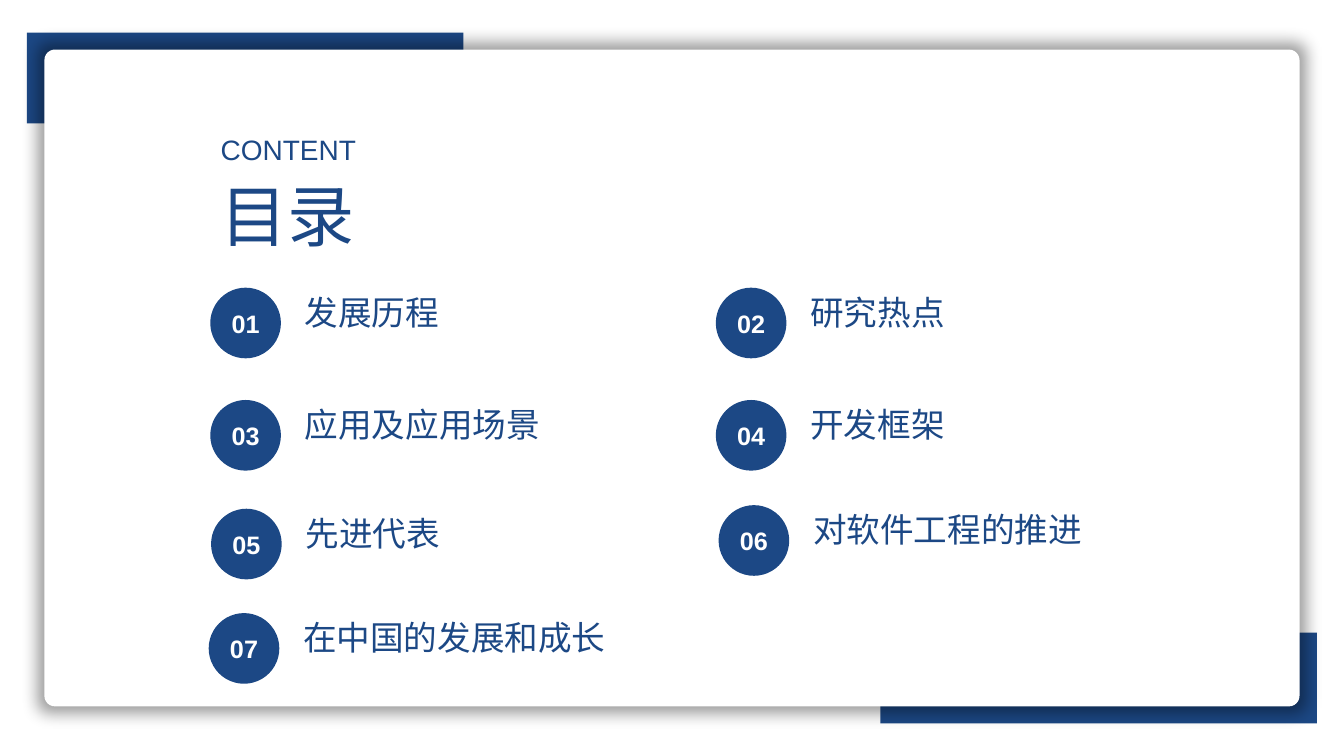
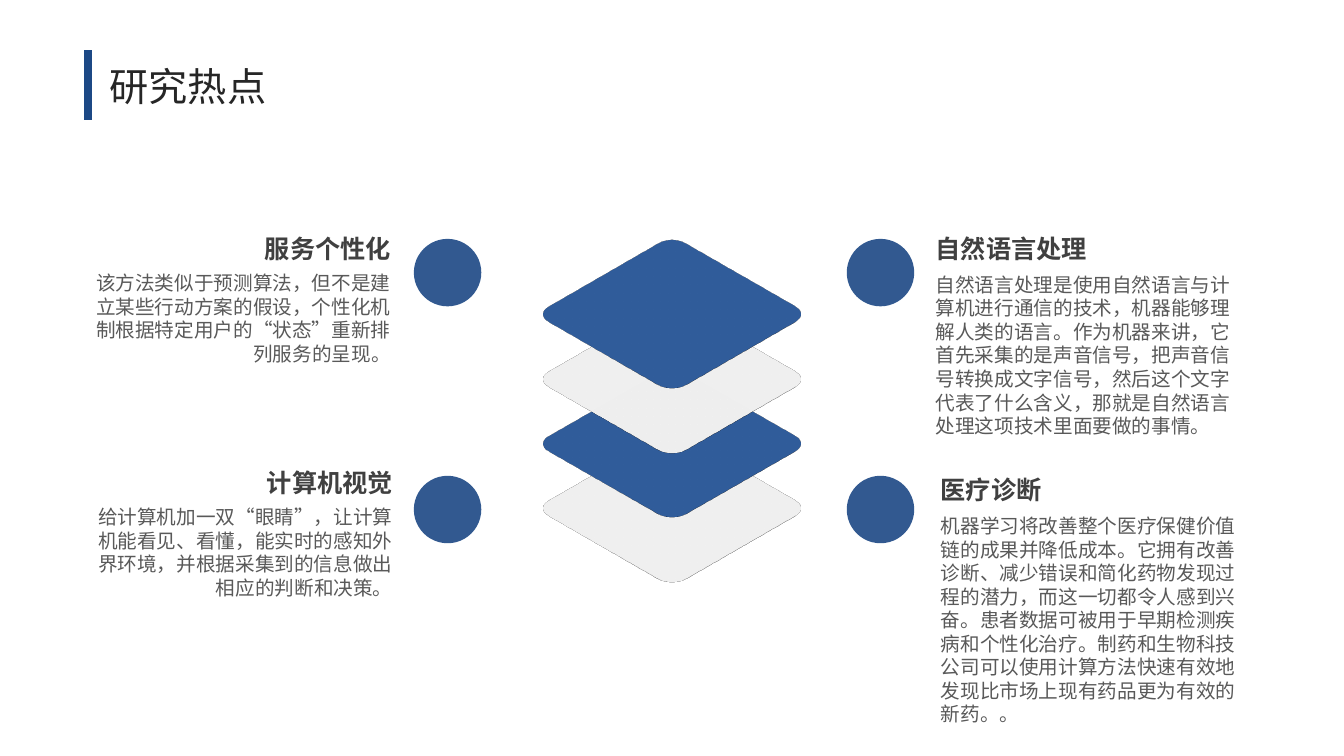
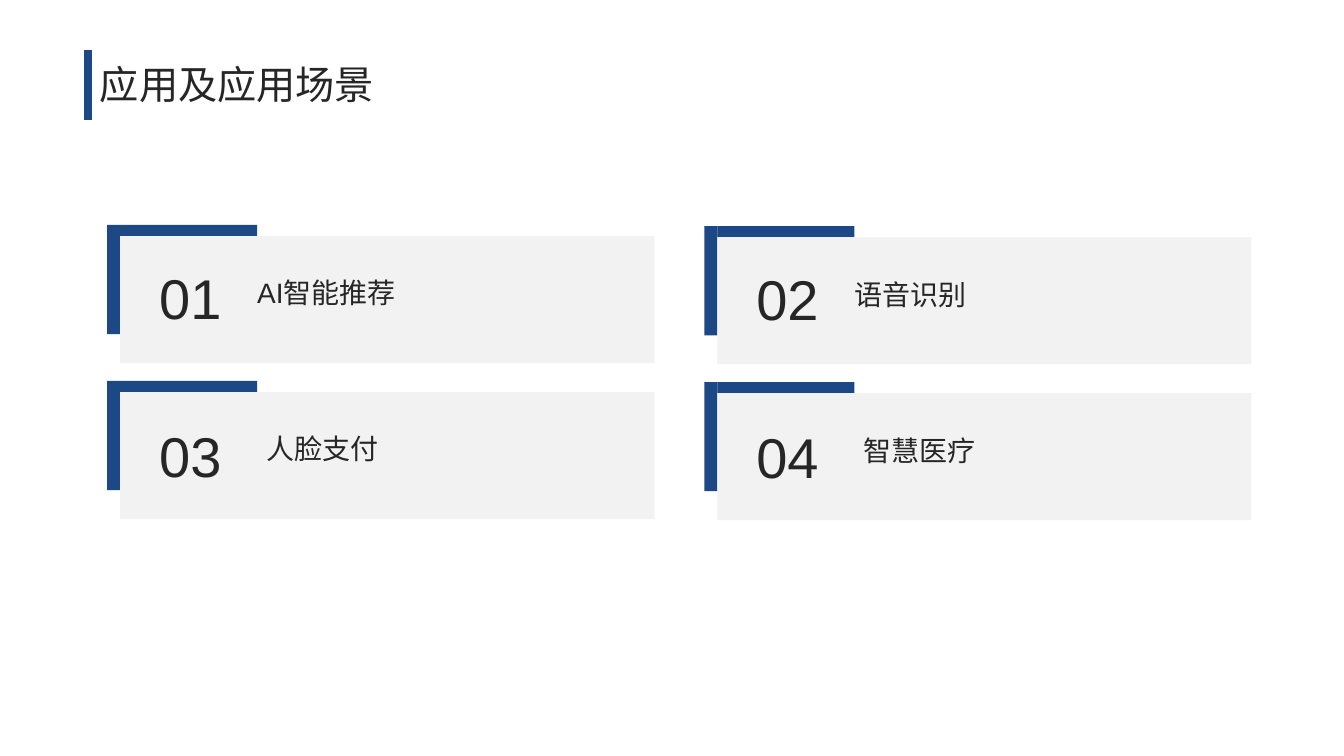
from lxml.etree import SubElement
from pptx import Presentation
from pptx.dml.color import RGBColor
from pptx.enum.shapes import MSO_CONNECTOR, MSO_SHAPE
from pptx.enum.text import MSO_ANCHOR, MSO_AUTO_SIZE, PP_ALIGN
from pptx.oxml.ns import qn
from pptx.util import Cm, Pt

BLUE, WHITE, PANEL, LAYER = "1C4885", "FFFFFF", "F2F2F2", "D9D9D9"
INK, HEADING, BODY = "262626", "404040", "595959"
LEFT, RIGHT, CENTER, JUSTIFY = PP_ALIGN.LEFT, PP_ALIGN.RIGHT, PP_ALIGN.CENTER, PP_ALIGN.JUSTIFY


def paint(shape, color):
    shape.shadow.inherit = False
    shape.fill.solid()
    shape.fill.fore_color.rgb = RGBColor.from_string(color)
    shape.line.fill.background()
    return shape


def write(shape, text, size, color, align, bold=False, anchor=MSO_ANCHOR.TOP):
    frame = shape.text_frame
    frame.word_wrap = True
    frame.auto_size = MSO_AUTO_SIZE.NONE
    frame.vertical_anchor = anchor
    frame.text = text
    paragraph = frame.paragraphs[0]
    paragraph.alignment = align
    paragraph.font.name = "Arial"
    paragraph.font.size = Pt(size)
    paragraph.font.bold = bold
    paragraph.font.color.rgb = RGBColor.from_string(color)


presentation = Presentation()
presentation.slide_width, presentation.slide_height = Cm(33.87), Cm(19.05)

titles = [
    ("目录", 5.31, 4.27, 6.45, 2.31, 48, BLUE, JUSTIFY),
    ("研究热点", 2.51, 1.45, 7.06, 1.45, 28, INK, LEFT),
    ("应用及应用场景", 2.02, 1.4, 7.9, 1.45, 28, INK, CENTER),
]
slides = []
for text, left, top, width, height, size, color, align in titles:
    slide = presentation.slides.add_slide(presentation.slide_layouts[5])
    title = slide.shapes.title
    title.left, title.top, title.width, title.height = Cm(left), Cm(top), Cm(width), Cm(height)
    write(title, text, size, color, align)
    slides.append(slide)
contents, hotspots, scenarios = slides

for slide in (hotspots, scenarios):
    bar = slide.shapes.add_connector(MSO_CONNECTOR.STRAIGHT, Cm(2.22), Cm(1.27), Cm(2.22), Cm(3.02))
    bar.line.color.rgb = RGBColor.from_string(BLUE)
    bar.line.width = Pt(6)
    SubElement(bar._element.spPr, qn("a:effectLst"))

shapes = contents.shapes
for left, top in ((22.19, 15.94), (0.68, 0.82)):
    paint(shapes.add_shape(MSO_SHAPE.RECTANGLE, Cm(left), Cm(top), Cm(11), Cm(2.29)), BLUE)
card = paint(shapes.add_shape(MSO_SHAPE.ROUNDED_RECTANGLE, Cm(1.12), Cm(1.25), Cm(31.63), Cm(16.55)), WHITE)
card.adjustments[0] = 0.016
effects = card._element.spPr.find(qn("a:effectLst"))
shadow = SubElement(effects, qn("a:outerShdw"), blurRad=str(Cm(0.4)), dist="0",
                    sx="101000", sy="102000", algn="ctr", rotWithShape="0")
shadow_color = SubElement(shadow, qn("a:srgbClr"), val="000000")
SubElement(shadow_color, qn("a:alpha"), val="40000")
shapes._spTree.append(shapes.title._element)
subtitle = shapes.add_textbox(Cm(5.31), Cm(3.21), Cm(6.45), Cm(1.12))
write(subtitle, "CONTENT", 20, BLUE, JUSTIFY)

chapters = [
    ("发展历程", 5.3, 7.25),
    ("研究热点", 18.04, 7.25),
    ("应用及应用场景", 5.3, 10.08),
    ("开发框架", 18.04, 10.08),
    ("先进代表", 5.32, 12.82),
    ("对软件工程的推进", 18.11, 12.73),
    ("在中国的发展和成长", 5.26, 15.45),
]
for number, (text, left, top) in enumerate(chapters, 1):
    badge = paint(shapes.add_shape(MSO_SHAPE.OVAL, Cm(left), Cm(top), Cm(1.78), Cm(1.78)), BLUE)
    write(badge, f"{number:02}", 18, WHITE, CENTER, True, MSO_ANCHOR.MIDDLE)
    chapter = shapes.add_textbox(Cm(left + 2.13), Cm(top - 0.02), Cm(10.29), Cm(1.27))
    write(chapter, text, 24, BLUE, JUSTIFY)

shapes = hotspots.shapes
for level, color in enumerate((LAYER, BLUE, LAYER, BLUE)):
    tile = shapes.add_shape(MSO_SHAPE.ROUNDED_RECTANGLE, Cm(14.5), Cm(10.37 - level * 1.63), Cm(4.87), Cm(4.87))
    tile.adjustments[0] = 0.1
    paint(tile, color)
    scene = SubElement(tile._element.spPr, qn("a:scene3d"))
    SubElement(scene, qn("a:camera"), prst="isometricTopUp")
    SubElement(scene, qn("a:lightRig"), rig="threePt", dir="t")

for left in (10.43, 21.34):
    for top in (6.02, 11.99):
        dot = paint(shapes.add_shape(MSO_SHAPE.OVAL, Cm(left), Cm(top), Cm(1.7), Cm(1.7)), BLUE)
        dot_color = dot._element.spPr.find(qn("a:solidFill"))[0]
        SubElement(dot_color, qn("a:alpha"), val="90000")

topics = [
    ("服务个性化", 2.15, 5.76, 0.95, 2.64, RIGHT,
     "该方法类似于预测算法，但不是建立某些行动方案的假设，个性化机制根据特定用户的“状态”重新排列服务的呈现。"),
    ("计算机视觉", 2.2, 11.66, 0.94, 2.64, RIGHT,
     "给计算机加一双“眼睛”，让计算机能看见、看懂，能实时的感知外界环境，并根据采集到的信息做出相应的判断和决策。"),
    ("自然语言处理", 23.33, 5.76, 0.99, 4.45, LEFT,
     "自然语言处理是使用自然语言与计算机进行通信的技术，机器能够理解人类的语言。作为机器来讲，它首先采集的是声音信号，"
     "把声音信号转换成文字信号，然后这个文字代表了什么含义，那就是自然语言处理这项技术里面要做的事情。"),
    ("医疗诊断", 23.46, 11.84, 0.99, 5.64, LEFT,
     "机器学习将改善整个医疗保健价值链的成果并降低成本。它拥有改善诊断、减少错误和简化药物发现过程的潜力，"
     "而这一切都令人感到兴奋。患者数据可被用于早期检测疾病和个性化治疗。"
     "制药和生物科技公司可以使用计算方法快速有效地发现比市场上现有药品更为有效的新药。。"),
]
for heading, left, top, gap, height, align, text in topics:
    indent = 1.78 if align == RIGHT else 0
    heading_box = shapes.add_textbox(Cm(left + indent), Cm(top), Cm(6.17), Cm(1.02))
    write(heading_box, heading, 18, HEADING, align, True)
    body_box = shapes.add_textbox(Cm(left), Cm(top + gap), Cm(7.95), Cm(height))
    write(body_box, text, 14, BODY, align)

shapes = scenarios.shapes
for index, text in enumerate(("AI智能推荐", "语音识别", "人脸支付", "智慧医疗")):
    row, column = divmod(index, 2)
    left = 3.03 + column * 15.05
    top = 5.95 + row * 3.93 + column * 0.03
    blocks = [
        (left - 0.33, top - 0.28, 0.33, 2.75, BLUE),
        (left, top - 0.28, 3.45, 0.28, BLUE),
        (left, top, 13.46, 3.2, PANEL),
    ]
    for x, y, width, height, color in blocks:
        paint(shapes.add_shape(MSO_SHAPE.RECTANGLE, Cm(x), Cm(y), Cm(width), Cm(height)), color)
    number_box = shapes.add_textbox(Cm(left + 0.33), Cm(top + 0.57 + row * 0.04), Cm(2.87), Cm(1.96))
    write(number_box, f"{index + 1:02}", 40, INK, CENTER)
    label = shapes.add_textbox(Cm(left + 3.2 + row * 0.24), Cm(top + 0.88), Cm(9), Cm(1.12))
    write(label, text, 20, INK, JUSTIFY)

presentation.save("out.pptx")
